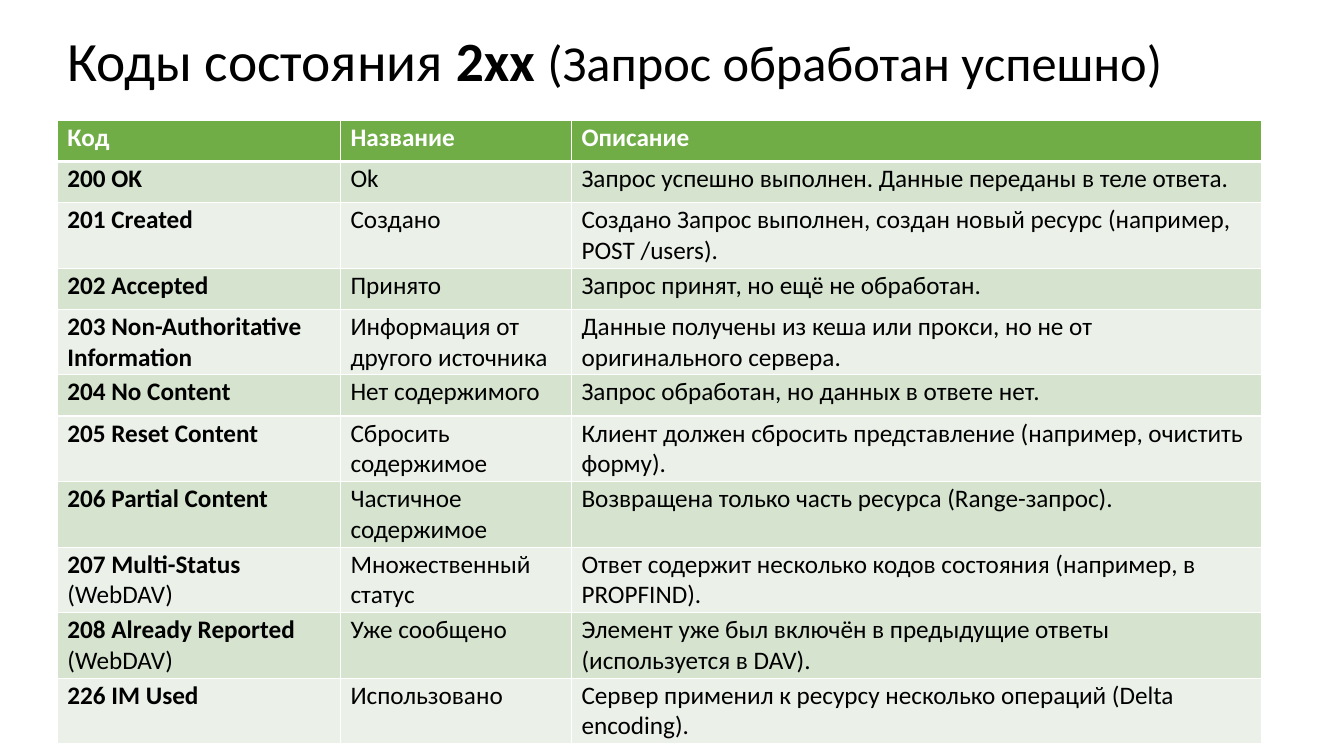
import pptx
import pptx.dml.color
import pptx.enum.text
import pptx.oxml
import pptx.oxml.ns
import pptx.util

Pt = pptx.util.Pt
FONT = "Calibri"
BLACK, WHITE = "000000", "FFFFFF"
HEADER_FILL = "70AD47"
BAND_FILLS = ("EBF1E9", "D5E3CF")
LEFT = 41
COLUMN_WIDTHS = (202.25, 165, 493)
ROW_HEIGHT = 29.4

TITLE = (("Коды состояния ", 39.6, False), ("2xx ", 39.6, True),
         ("(Запрос обработан успешно)", 36, False))
HEADER = ("Код", "Название", "Описание")
# Each row: code, note after the code, name, description
STATUS_CODES = (
    ("200 OK", "", "Оk", "Запрос успешно выполнен. Данные переданы в теле ответа."),
    ("201 Created", "", "Создано",
     "Создано Запрос выполнен, создан новый ресурс (например, POST /users)."),
    ("202 Accepted", "", "Принято", "Запрос принят, но ещё не обработан."),
    ("203 Non-Authoritative Information", "", "Информация от другого источника",
     "Данные получены из кеша или прокси, но не от оригинального сервера."),
    ("204 No Content", "", "Нет содержимого", "Запрос обработан, но данных в ответе нет."),
    ("205 Reset Content", "", "Сбросить содержимое",
     "Клиент должен сбросить представление (например, очистить форму)."),
    ("206 Partial Content", "", "Частичное содержимое",
     "Возвращена только часть ресурса (Range-запрос)."),
    ("207 Multi-Status", " (WebDAV)", "Множественный статус",
     "Ответ содержит несколько кодов состояния (например, в PROPFIND)."),
    ("208 Already Reported", " (WebDAV)", "Уже сообщено",
     "Элемент уже был включён в предыдущие ответы (используется в DAV)."),
    ("226 IM Used", "", "Использовано",
     "Сервер применил к ресурсу несколько операций (Delta encoding)."),
)


def rgb(value):
    return pptx.dml.color.RGBColor.from_string(value)


def add_span(para, text, size, bold, color=BLACK):
    span = para.add_run()
    span.text = text
    span.font.name = FONT
    span.font.size = Pt(size)
    span.font.bold = bold
    span.font.color.rgb = rgb(color)


def set_borders(cell, top, bottom):
    """Draw white borders of 1 pt at the sides and of given widths above and below."""
    properties = cell._tc.get_or_add_tcPr()
    for side, width in (("L", 1), ("R", 1), ("T", top), ("B", bottom)):
        properties.append(pptx.oxml.parse_xml(
            f'<a:ln{side} {pptx.oxml.ns.nsdecls("a")} w="{Pt(width)}">'
            f'<a:solidFill><a:srgbClr val="{WHITE}"/></a:solidFill></a:ln{side}>'))


def fill_cell(cell, spans, fill, color=BLACK, top=1, bottom=1):
    cell.margin_left = cell.margin_right = Pt(7.2)
    cell.margin_top = cell.margin_bottom = Pt(1.44)
    set_borders(cell, top, bottom)
    cell.fill.solid()
    cell.fill.fore_color.rgb = rgb(fill)
    for text, bold in spans:
        add_span(cell.text_frame.paragraphs[0], text, 18, bold, color)


def format_title(page):
    title = page.shapes.title
    title.left, title.top, title.width, title.height = Pt(LEFT), Pt(19.4), Pt(828), Pt(52.6)
    frame = title.text_frame
    frame.word_wrap = True
    frame.auto_size = pptx.enum.text.MSO_AUTO_SIZE.NONE
    frame.vertical_anchor = pptx.enum.text.MSO_ANCHOR.MIDDLE
    para = frame.paragraphs[0]
    para.alignment = pptx.enum.text.PP_ALIGN.LEFT
    para.line_spacing = 0.9
    for text, size, bold in TITLE:
        add_span(para, text, size, bold)


def add_status_table(page):
    row_count = len(STATUS_CODES) + 1
    table = page.shapes.add_table(
        row_count, len(HEADER), Pt(LEFT), Pt(86), Pt(sum(COLUMN_WIDTHS)),
        Pt(ROW_HEIGHT * row_count)).table
    for column, width in zip(table.columns, COLUMN_WIDTHS):
        column.width = Pt(width)
    for row in table.rows:
        row.height = Pt(ROW_HEIGHT)
    for column, heading in enumerate(HEADER):
        fill_cell(table.cell(0, column), [(heading, True)], HEADER_FILL, WHITE, bottom=3)
    for row, (code, note, name, description) in enumerate(STATUS_CODES, start=1):
        code_spans = [(code, True)] + ([(note, False)] if note else [])
        contents = (code_spans, [(name, False)], [(description, False)])
        for column, spans in enumerate(contents):
            fill_cell(table.cell(row, column), spans, BAND_FILLS[row % 2],
                      top=3 if row == 1 else 1)


def main():
    deck = pptx.Presentation()
    deck.slide_width, deck.slide_height = Pt(960), Pt(540)
    page = deck.slides.add_slide(deck.slide_layouts.get_by_name("Title Only"))
    format_title(page)
    add_status_table(page)
    deck.save("out.pptx")


if __name__ == "__main__":
    main()
